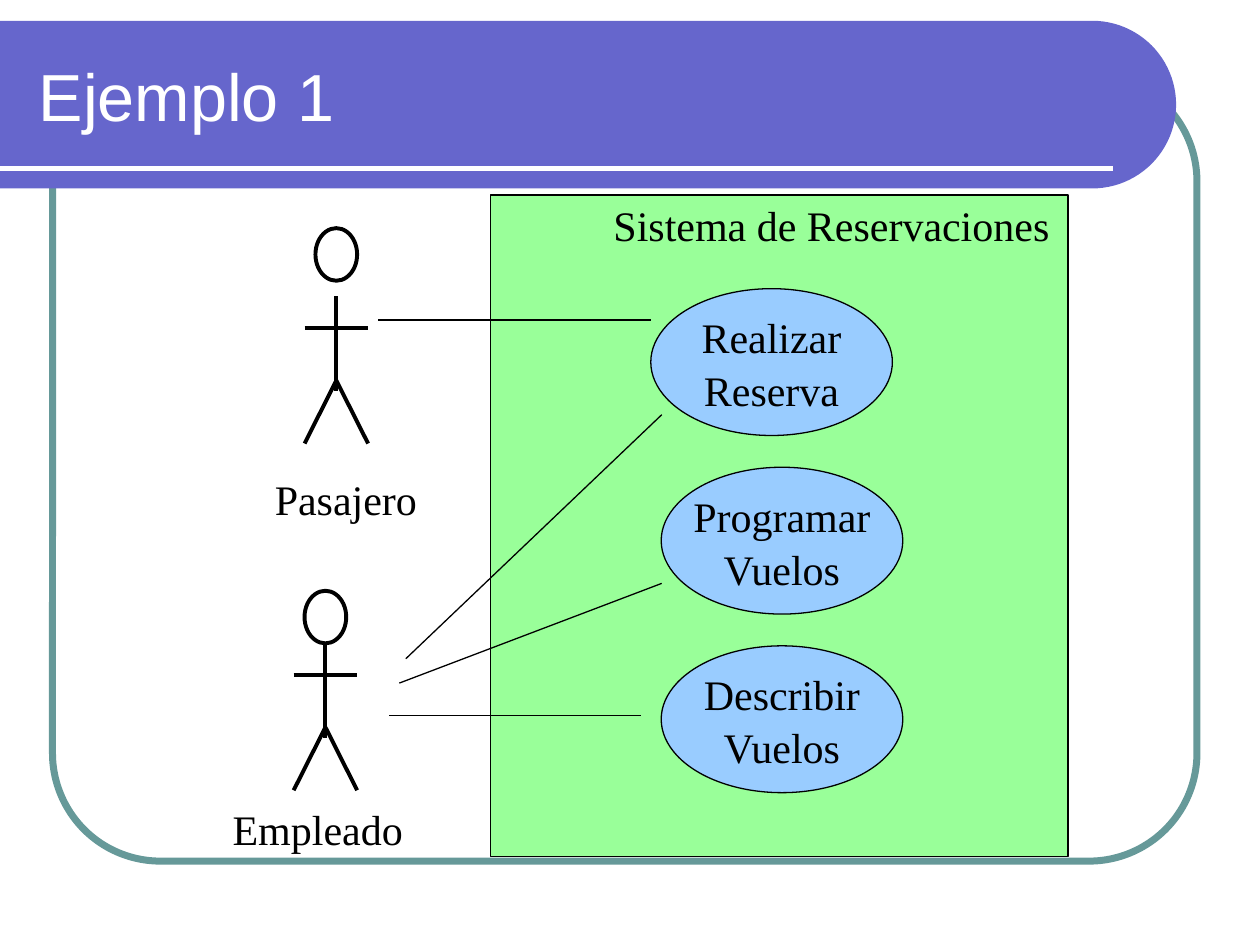
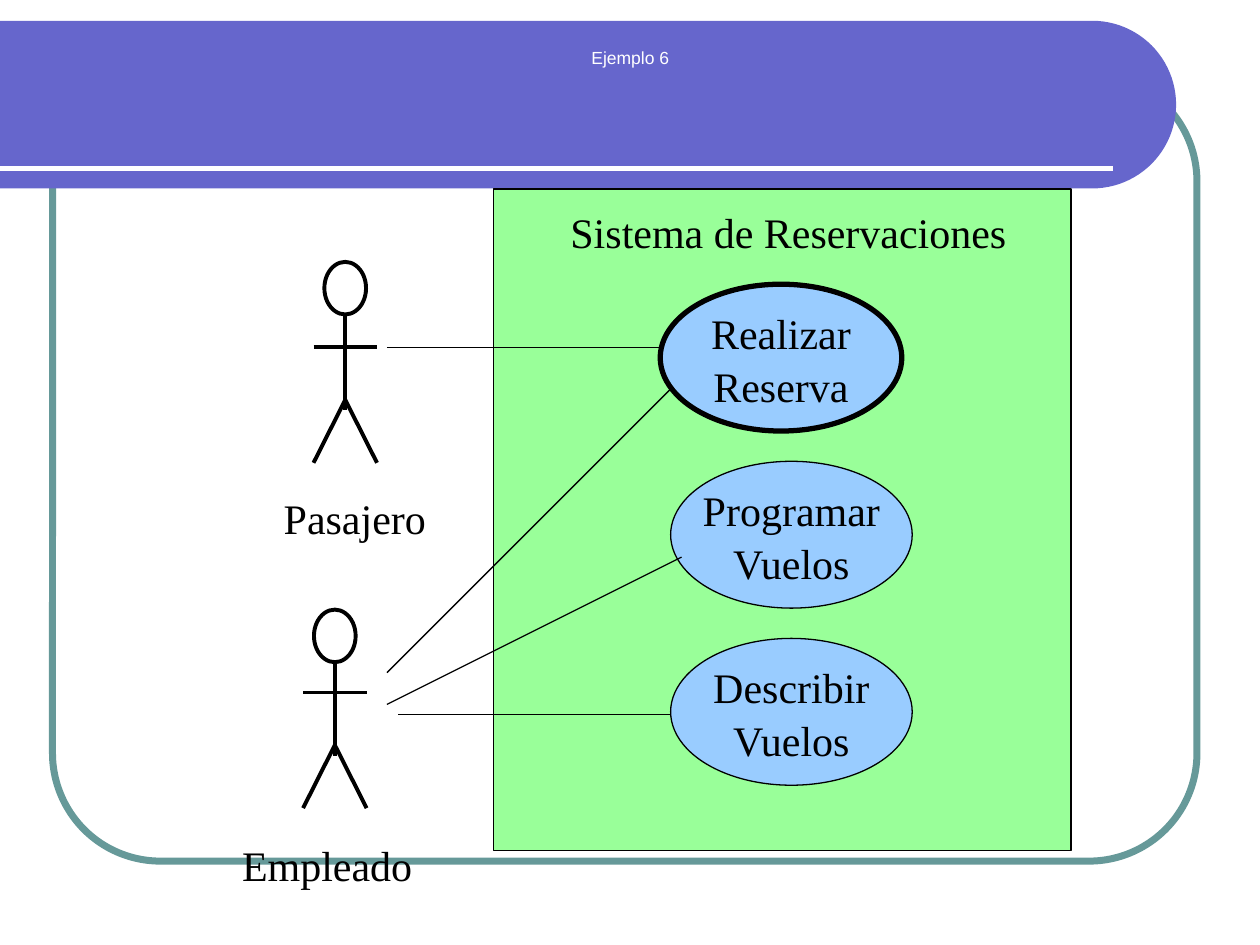
from math import cos, pi, sin
from lxml import etree
from pptx import Presentation
from pptx.dml.color import RGBColor as Rgb
from pptx.enum.shapes import MSO_CONNECTOR as Conn, MSO_SHAPE as Kind
from pptx.enum.text import MSO_ANCHOR as Anchor, PP_ALIGN as Align
from pptx.oxml.ns import qn
from pptx.util import Cm, Pt

INK, WHITE = "000000", "FFFFFF"
BAND, FRAME, GREEN, BLUE = "6666CC", "669999", "99FF99", "99CCFF"
SANS, SERIF = "Arial", "Times New Roman"
THIN, BOLD, THICK = 0.75, 2.25, 3

HEAD = "Sistema de Reservaciones"
ROLES = [("Pasajero", 1.49, 3.38), ("Empleado", 2.12, 4.02)]
CASES = [("Realizar", "Reserva"), ("Programar", "Vuelos"), ("Describir", "Vuelos")]

SLIDES = [
    dict(
        title=("Ejemplo 1", (0.53, 0.64, 22.28, 2.54), 38, Align.LEFT),
        roles=[(6.78, 4.6, 5.97, 9.37), (6.56, 11.91, 12.96, 16.03)],
        system=(9.89, 3.93),
        head=(3.84, Align.RIGHT),
        cases=(13.12, 5.82, 3.6),
        edge=THIN,
        links=[(8.18, 13.28, 13.34, 8.36), (7.62, 6.45, 13.13, 6.45),
               (7.85, 14.43, 12.93, 14.43), (8.05, 13.77, 13.34, 11.76)],
    ),
    dict(
        title=("Ejemplo 6", (1.91, 0.84, 21.59, 0.64), 10, Align.CENTER),
        roles=[(6.96, 5.28, 6.36, 9.75), (6.75, 12.29, 13.32, 16.74)],
        system=(9.95, 3.81),
        head=(3.99, Align.LEFT),
        cases=(13.31, 5.73, 3.57),
        edge=THICK,
        links=[(7.8, 13.56, 13.51, 7.85), (7.8, 7.01, 13.31, 7.01),
               (8.03, 14.4, 13.51, 14.4), (7.8, 14.2, 13.74, 11.23)],
    ),
]


def tint(code):
    return Rgb.from_string(code)


def paint(shape, fill=None, line=None, width=THIN):
    shape.shadow.inherit = False
    if fill:
        shape.fill.solid()
        shape.fill.fore_color.rgb = tint(fill)
    else:
        shape.fill.background()
    if line:
        shape.line.color.rgb = tint(line)
        shape.line.width = Pt(width)
    else:
        shape.line.fill.background()
    return shape


def draw(slide, kind, box, fill=None, line=INK, width=THIN):
    return paint(slide.shapes.add_shape(kind, *map(Cm, box)), fill, line, width)


def join(slide, ends, color=INK, width=THIN):
    line = slide.shapes.add_connector(Conn.STRAIGHT, *map(Cm, ends))
    line.line.color.rgb = tint(color)
    line.line.width = Pt(width)
    etree.SubElement(line._element.spPr, qn("a:effectLst"))


def write(shape, lines, size=24, face=SERIF, color=INK,
          align=Align.LEFT, anchor=Anchor.TOP, wrap=True, space=1.05):
    frame = shape.text_frame
    frame.text = "\n".join(lines)
    frame.word_wrap = wrap
    frame.vertical_anchor = anchor
    for para in frame.paragraphs:
        para.alignment = align
        para.line_spacing = space
        font = para.font
        font.size, font.name = Pt(size), face
        font.color.rgb = tint(color)


def label(slide, box, text, **style):
    write(slide.shapes.add_textbox(*map(Cm, box)), [text], **style)


def base(slide, title):
    rim = draw(slide, Kind.ROUNDED_RECTANGLE, (1.06, 1.48, 23.07, 15.88),
               line=FRAME, width=4)
    rim.adjustments[0] = 0.137
    top, rad, mid, steps = 0.42, 1.69, 22.02, 48
    arc = [(Cm(mid + rad * sin(pi * i / steps)),
            Cm(top + rad - rad * cos(pi * i / steps))) for i in range(steps + 1)]
    path = slide.shapes.build_freeform(0, Cm(top))
    path.add_line_segments(arc + [(0, Cm(top + 2 * rad))])
    paint(path.convert_to_shape(), BAND)
    join(slide, (0, 3.39, 22.44, 3.39), WHITE, THICK)
    text, box, size, align = title
    label(slide, box, text, size=size, face=SANS, color=WHITE,
          align=align, anchor=Anchor.MIDDLE, space=1)


def actor(slide, role, place):
    name, back, wide = role
    mid, top, neck, foot = place
    draw(slide, Kind.OVAL, (mid - 0.42, top, 0.84, 1.06), width=BOLD)
    arm, hip = neck + 0.64, neck + 1.7
    limbs = [(mid, neck, mid, neck + 1.91), (mid - 0.64, arm, mid + 0.64, arm)]
    limbs += [(mid, hip, mid + side, hip + 1.27) for side in (-0.64, 0.64)]
    for limb in limbs:
        join(slide, limb, width=BOLD)
    label(slide, (mid - back, foot, wide, 1.27), name)


def build(slide, data):
    base(slide, data["title"])
    for role, place in zip(ROLES, data["roles"]):
        actor(slide, role, place)
    draw(slide, Kind.RECTANGLE, (*data["system"], 11.64, 13.34), GREEN)
    top, align = data["head"]
    label(slide, (11.25, top, 10.16, 1.27), HEAD, align=align)
    left, top, step = data["cases"]
    for i, lines in enumerate(CASES):
        box = (left + (0.21 if i else 0), top + i * step, 4.87, 2.96)
        oval = draw(slide, Kind.OVAL, box, BLUE, width=THIN if i else data["edge"])
        write(oval, lines, align=Align.CENTER, anchor=Anchor.MIDDLE, wrap=False)
    for ends in data["links"]:
        join(slide, ends)


def main():
    deck = Presentation()
    deck.slide_width, deck.slide_height = Cm(25.4), Cm(19.05)
    for data in SLIDES:
        build(deck.slides.add_slide(deck.slide_layouts[6]), data)
    deck.save("out.pptx")


if __name__ == "__main__":
    main()
